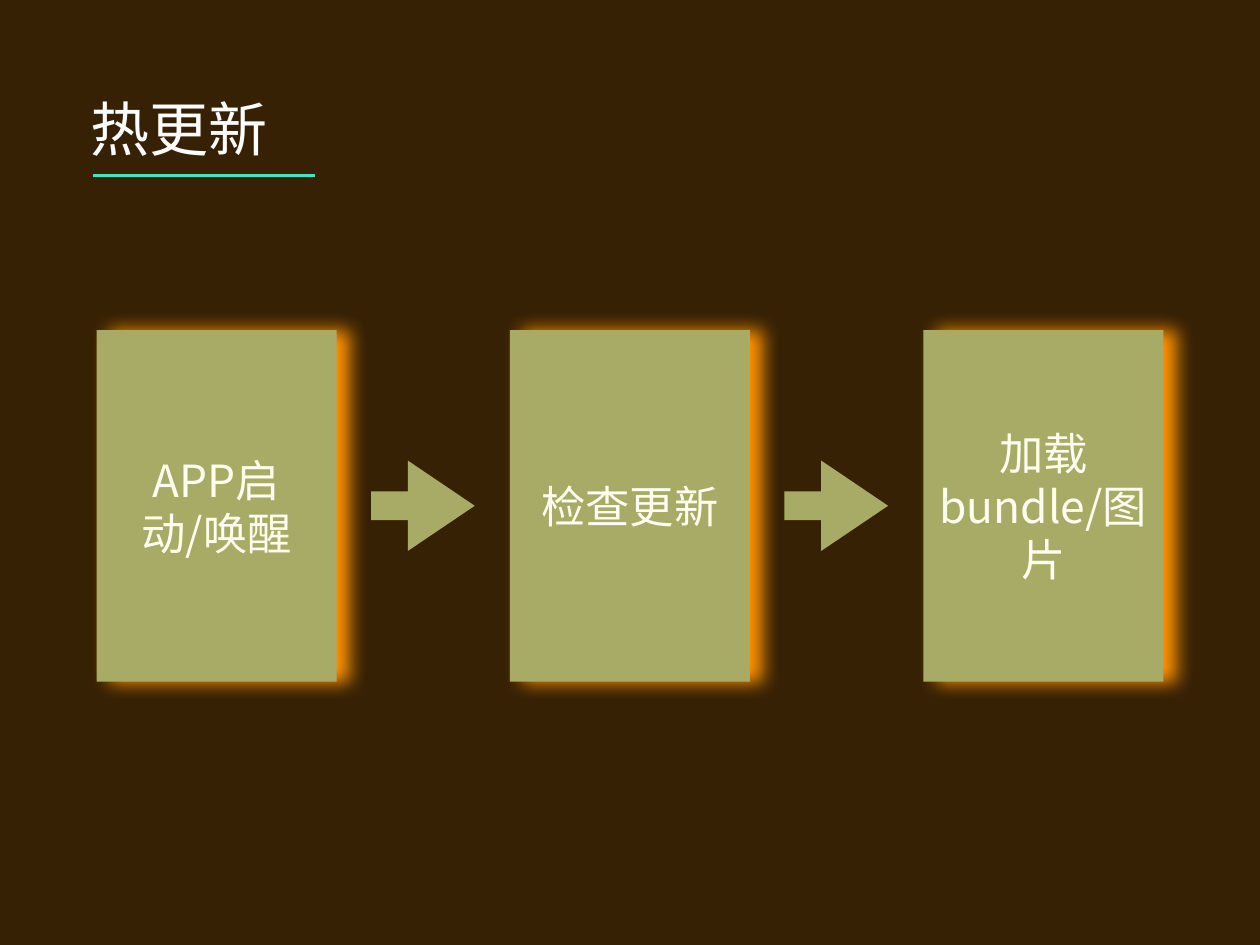
from lxml.etree import SubElement
from pptx import Presentation
from pptx.dml.color import RGBColor
from pptx.enum.shapes import MSO_CONNECTOR as CONN, MSO_SHAPE as SHAPE
from pptx.enum.text import MSO_ANCHOR as ANCHOR, PP_ALIGN as ALIGN
from pptx.oxml.ns import qn
from pptx.util import Cm, Pt


def rgb(value):
    return RGBColor.from_string(value)


class FlowSlide:
    BACKGROUND, FILL, GLOW = "362105", "A8AB65", "FF9300"
    BOX_TEXT, TITLE_TEXT, ACCENT = "FFFDEF", "FFFFFF", "3EE5C6"
    BOX_FONT, TITLE_FONT = "Noto Sans CJK SC", "Arial"

    def __init__(self, prs):
        self.s = prs.slides.add_slide(prs.slide_layouts[6])
        fill = self.s.background.fill
        fill.solid()
        fill.fore_color.rgb = rgb(self.BACKGROUND)

    def set_text(self, sp, text, size, font, color, inset, align):
        tf = sp.text_frame
        tf.word_wrap = True
        tf.margin_left = tf.margin_right = Cm(inset)
        tf.margin_top = tf.margin_bottom = Cm(inset)
        p = tf.paragraphs[0]
        p.text = text
        p.alignment = align
        p.font.size, p.font.name = Pt(size), font
        p.font.color.rgb = rgb(color)
        return tf

    def title(self, text, x, y, w, h):
        sp = self.s.shapes.add_textbox(Cm(x), Cm(y), Cm(w), Cm(h))
        self.set_text(sp, text, 48, self.TITLE_FONT, self.TITLE_TEXT, 0.3, ALIGN.LEFT)

    def rule(self, x, y, w):
        line = self.s.shapes.add_connector(CONN.STRAIGHT, Cm(x), Cm(y), Cm(x + w), Cm(y))
        line.line.color.rgb = rgb(self.ACCENT)
        line.line.width = Pt(3)
        SubElement(line._element.spPr, qn("a:effectLst"))

    def shape(self, kind, x, y, w, h):
        sp = self.s.shapes.add_shape(kind, Cm(x), Cm(y), Cm(w), Cm(h))
        sp.shadow.inherit = False
        sp.fill.solid()
        sp.fill.fore_color.rgb = rgb(self.FILL)
        sp.line.fill.background()
        return sp

    def box(self, text, x, y, w, h):
        sp = self.shape(SHAPE.RECTANGLE, x, y, w, h)
        tf = self.set_text(sp, text, 36, self.BOX_FONT, self.BOX_TEXT, 0.15, ALIGN.CENTER)
        tf.vertical_anchor = ANCHOR.MIDDLE
        # Orange shadow to the right
        effects = sp._element.spPr.find(qn("a:effectLst"))
        shadow = SubElement(effects, qn("a:outerShdw"), blurRad=str(Pt(15)),
                            dist=str(Pt(10)), dir="0", rotWithShape="0")
        SubElement(shadow, qn("a:srgbClr"), val=self.GLOW)

    def arrow(self, x, y, w, h):
        sp = self.shape(SHAPE.RIGHT_ARROW, x, y, w, h)
        sp.adjustments[0], sp.adjustments[1] = 0.32, 0.74


def main():
    prs = Presentation()
    prs.slide_width, prs.slide_height = Cm(36.12), Cm(27.1)
    slide = FlowSlide(prs)

    # Steps, evenly spaced, with an arrow between neighbours
    steps = ["APP启动/唤醒", "检查更新", "加载bundle/图片"]
    left, pitch = 2.77, 11.85
    for i, step in enumerate(steps):
        slide.box(step, left + i * pitch, 9.47, 6.88, 10.08)
    for i in range(len(steps) - 1):
        slide.arrow(10.64 + i * pitch, 13.21, 2.97, 2.59)

    # Title and its underline
    slide.title("热更新", 2.29, 2.34, 39.57, 2.97)
    slide.rule(2.67, 5.03, 6.37)

    prs.save("out.pptx")


if __name__ == "__main__":
    main()
